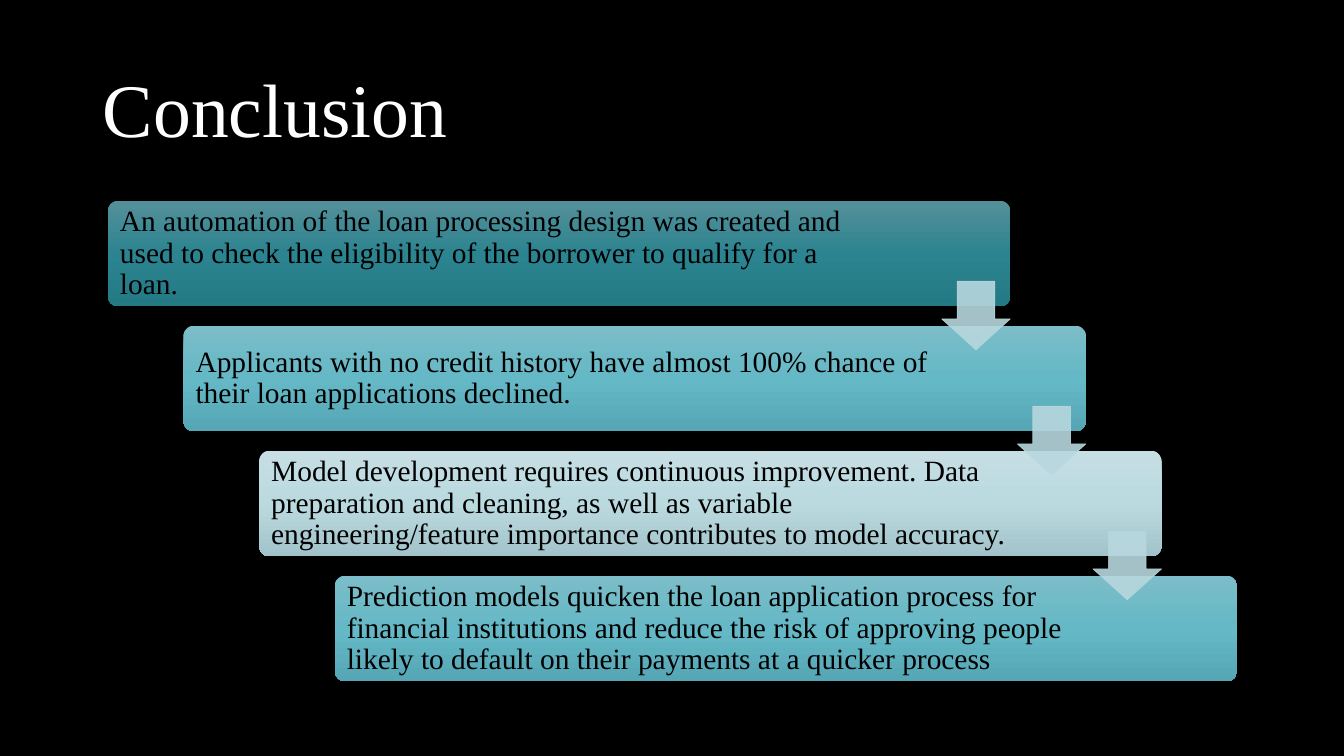
from pptx import Presentation
from pptx.dml.color import RGBColor
from pptx.enum.shapes import MSO_SHAPE as SHAPE
from pptx.enum.text import MSO_ANCHOR as ANCHOR, MSO_AUTO_SIZE as AUTO, PP_ALIGN as ALIGN
from pptx.oxml.ns import qn
from pptx.util import Inches, Pt
from lxml.etree import SubElement

FONT = "Times New Roman"
STEP_X, STEP_Y = 0.75, 1.24

DARK_TEAL = ("55909A", "2C8490", "237984")
TEAL = ("7CBDC9", "65B8C6", "55A7B5")
PALE = ("C6DEE4", "BADAE0", "A3C3CA")
ARROW = "B8D7DE"

# Text, gradient and text width of each step
STEPS = [
    ("An automation of the loan processing design was created and used to check "
     "the eligibility of the borrower to qualify for a loan.", DARK_TEAL, 7.73),
    ("Applicants with no credit history have almost 100% chance of their loan "
     "applications declined.", TEAL, 7.5),
    ("Model development requires continuous improvement. Data preparation and "
     "cleaning, as well as variable engineering/feature importance contributes "
     "to model accuracy.", PALE, 7.5),
    ("Prediction models quicken the loan application process for financial "
     "institutions and reduce the risk of approving people likely to default on "
     "their payments at a quicker process", TEAL, 7.5),
]


def rgb(value):
    return RGBColor.from_string(value)


def box(x, y, w, h):
    return [Inches(v) for v in (x, y, w, h)]


def write(s, text, size, color, inset):
    tf = s.text_frame
    margins = {f"margin_{side}": Inches(inset)
               for side in ("left", "right", "top", "bottom")}
    frame = {"word_wrap": True, "auto_size": AUTO.NONE,
             "vertical_anchor": ANCHOR.MIDDLE, **margins}
    for name, value in frame.items():
        setattr(tf, name, value)
    p = tf.paragraphs[0]
    p.alignment = ALIGN.LEFT
    p.line_spacing = 0.9
    r = p.add_run()
    r.text = text
    for name, value in {"name": FONT, "size": Pt(size)}.items():
        setattr(r.font, name, value)
    r.font.color.rgb = rgb(color)


def add_title(s, text):
    title = s.shapes.title
    title.left, title.top, title.width, title.height = box(0.92, 0.4, 11.5, 1.45)
    write(title, text, 54, "FFFFFF", 0.1)


def fill_gradient(s, colors):
    s.fill.gradient()
    s.fill.gradient_angle = 270
    stops = s._element.spPr.find(qn("a:gradFill")).find(qn("a:gsLst"))
    for stop in list(stops):
        stops.remove(stop)
    for i, color in enumerate(colors):
        stop = SubElement(stops, qn("a:gs"), pos=str(i * 50000))
        SubElement(stop, qn("a:srgbClr"), val=color)


def add_card(shapes, x, y, text, colors, text_width):
    card = shapes.add_shape(SHAPE.ROUNDED_RECTANGLE, *box(x, y, 8.95, 1.05))
    card.adjustments[0] = 0.1
    card.shadow.inherit = False
    card.line.fill.background()
    fill_gradient(card, colors)
    label = shapes.add_textbox(*box(x + 0.03, y + 0.03, text_width, 0.99))
    write(label, text, 21, "000000", 0.09)


def add_arrow(shapes, x, y):
    arrow = shapes.add_shape(SHAPE.DOWN_ARROW, *box(x, y, 0.68, 0.68))
    arrow.adjustments[0] = 0.55
    arrow.adjustments[1] = 0.45
    arrow.shadow.inherit = False
    arrow.line.width = Pt(0.5)
    for fill in (arrow.fill, arrow.line.fill):
        fill.solid()
        fill.fore_color.rgb = rgb(ARROW)
    # 90% opacity for fill and outline
    for color in arrow._element.spPr.iter(qn("a:srgbClr")):
        SubElement(color, qn("a:alpha"), val="90000")


def main():
    prs = Presentation()
    prs.slide_width, prs.slide_height = Inches(13.33), Inches(7.5)
    s = prs.slides.add_slide(prs.slide_layouts[5])
    s.background.fill.solid()
    s.background.fill.fore_color.rgb = rgb("000000")
    add_title(s, "Conclusion")

    # Staircase of cards, then the arrows that lead from one to the next
    shapes = s.shapes.add_group_shape().shapes
    for i, (text, colors, text_width) in enumerate(STEPS):
        add_card(shapes, 1.07 + i * STEP_X, 1.99 + i * STEP_Y, text, colors, text_width)
    for i in range(len(STEPS) - 1):
        add_arrow(shapes, 9.34 + i * STEP_X, 2.79 + i * STEP_Y)

    prs.save("out.pptx")


if __name__ == "__main__":
    main()
